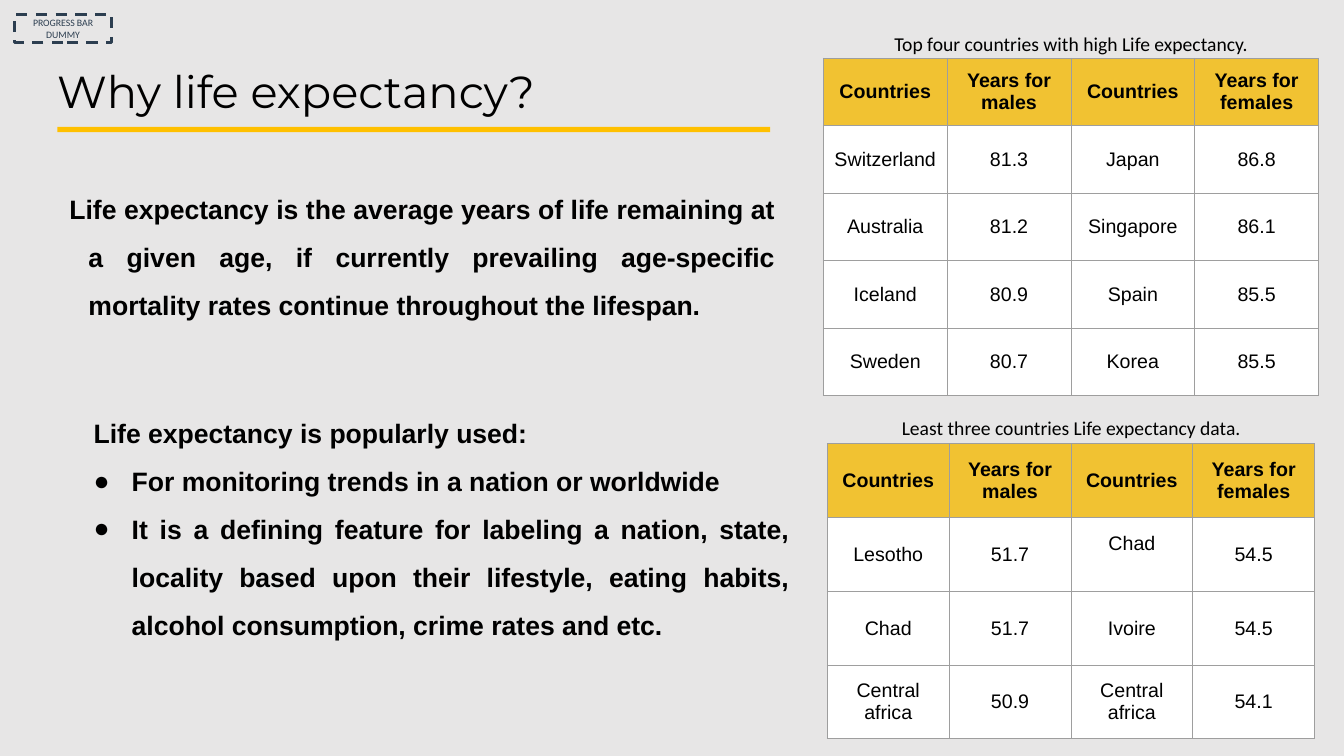
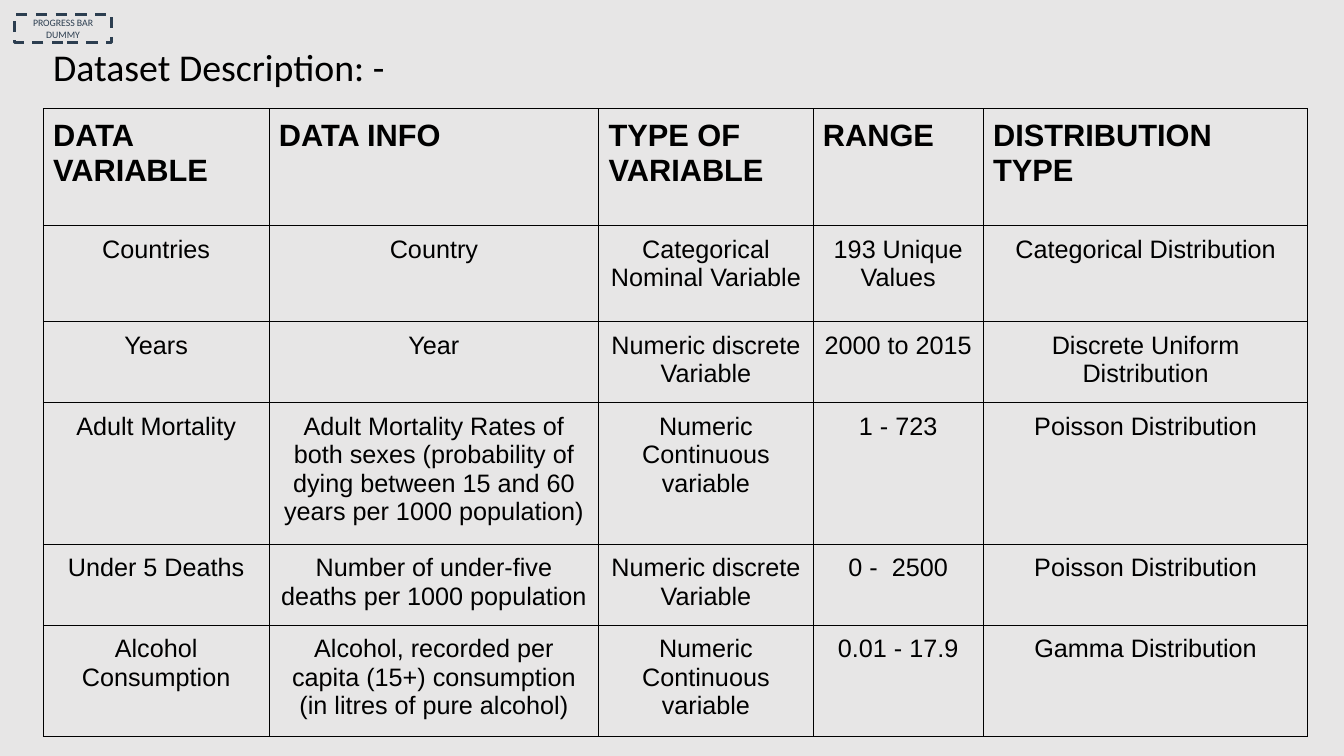
from dataclasses import dataclass

from lxml import etree
from pptx import Presentation
from pptx.dml.color import RGBColor
from pptx.enum import dml, shapes, text
from pptx.oxml import ns
from pptx.util import Cm, Pt


@dataclass(frozen=True)
class Theme:
    page: str = "E7E6E6"
    ink: str = "000000"
    badge: str = "2C3E50"
    rule: str = "FFC000"
    header: str = "F1C232"
    cell: str = "FFFFFF"
    grid: str = "9E9E9E"
    display_font: str = "Montserrat"
    label_font: str = "Calibri"
    text_font: str = "Arial"
    badge_size: int = 7
    small_size: int = 14
    cell_size: int = 18
    body_size: int = 19
    head_size: int = 22
    subtitle_size: int = 27
    title_size: int = 32
    inset: float = 0.25
    thin_inset: float = 0.13


THEME = Theme()
ALIGN = text.PP_ALIGN
ANCHOR = text.MSO_ANCHOR

BADGE = "PROGRESS BAR DUMMY"
WHY_TITLE = "Why life expectancy?"
DEFINITION = [
    ("Life expectancy is the average years of life remaining at a given age, if currently "
     "prevailing age-specific mortality rates continue throughout the lifespan.", False),
]
USES = [
    ("Life expectancy is popularly used:", False),
    ("For monitoring trends in a nation or worldwide", True),
    ("It is a defining feature for labeling a nation, state, locality based upon their "
     "lifestyle, eating habits, alcohol consumption, crime rates and etc.", True),
]
COUNTRY_HEADER = ("Countries", "Years for males", "Countries", "Years for females")
COUNTRY_TABLES = [
    {
        "caption": "Top four countries with high Life expectancy.",
        "caption_top": 0.56, "left": 20.75, "top": 1.47, "column": 3.12, "row": 1.7,
        "rows": [
            ("Switzerland", "81.3", "Japan", "86.8"),
            ("Australia", "81.2", "Singapore", "86.1"),
            ("Iceland", "80.9", "Spain", "85.5"),
            ("Sweden", "80.7", "Korea", "85.5"),
        ],
        "raised": None,
    },
    {
        "caption": "Least three countries Life expectancy data.",
        "caption_top": 10.24, "left": 20.85, "top": 11.18, "column": 3.07, "row": 1.86,
        "rows": [
            ("Lesotho", "51.7", "Chad", "54.5"),
            ("Chad", "51.7", "Ivoire", "54.5"),
            ("Central africa", "50.9", "Central africa", "54.1"),
        ],
        "raised": (1, 2),
    },
]
DATASET_TITLE = "Dataset Description: -"
DATASET_COLUMNS = (5.69, 8.31, 5.4, 4.29, 8.18)
DATASET_HEIGHTS = (2.95, 2.42, 2.04, 3.56, 2.04, 2.8)
DATASET = [
    ("DATA VARIABLE", "DATA INFO", "TYPE OF VARIABLE", "RANGE", "DISTRIBUTION TYPE"),
    ("Countries", "Country", "Categorical Nominal Variable", "193 Unique Values",
     "Categorical Distribution"),
    ("Years", "Year", "Numeric discrete Variable", "2000 to 2015",
     "Discrete Uniform Distribution"),
    ("Adult Mortality",
     "Adult Mortality Rates of both sexes (probability of dying between 15 and 60 years "
     "per 1000 population)",
     "Numeric Continuous variable", "1 - 723", "Poisson Distribution"),
    ("Under 5 Deaths", "Number of under-five deaths per 1000 population",
     "Numeric discrete Variable", "0 -  2500", "Poisson Distribution"),
    ("Alcohol Consumption",
     "Alcohol, recorded per capita (15+) consumption (in litres of pure alcohol)",
     "Numeric Continuous variable", "0.01 - 17.9", "Gamma Distribution"),
]


def rgb(value):
    return RGBColor.from_string(value)


def place(shape, left, top, width, height):
    shape.left, shape.top = Cm(left), Cm(top)
    shape.width, shape.height = Cm(width), Cm(height)


def set_insets(holder, vertical):
    holder.margin_left = holder.margin_right = Cm(THEME.inset)
    holder.margin_top = holder.margin_bottom = Cm(vertical)


def prepare_frame(shape, vertical, anchor=ANCHOR.TOP):
    frame = shape.text_frame
    frame.word_wrap = True
    frame.auto_size = text.MSO_AUTO_SIZE.NONE
    frame.vertical_anchor = anchor
    set_insets(frame, vertical)
    return frame


def write(paragraph, content, size, font, color=THEME.ink, bold=False, align=ALIGN.LEFT):
    paragraph.alignment = align
    run = paragraph.add_run()
    run.text = content
    run.font.size = Pt(size)
    run.font.name = font
    run.font.bold = bold
    run.font.color.rgb = rgb(color)


def set_title(slide, content, box, size, font, vertical):
    place(slide.shapes.title, *box)
    frame = prepare_frame(slide.shapes.title, vertical)
    write(frame.paragraphs[0], content, size, font)


def set_indent(paragraph, bulleted):
    properties = paragraph._p.get_or_add_pPr()
    margin, hanging = (1.27, 0.96) if bulleted else (0.79, 0.48)
    properties.set("marL", str(Cm(margin)))
    properties.set("indent", str(-Cm(hanging)))
    if bulleted:
        color = etree.SubElement(properties, ns.qn("a:buClr"))
        etree.SubElement(color, ns.qn("a:srgbClr"), val=THEME.ink)
        etree.SubElement(properties, ns.qn("a:buFont"), typeface=THEME.text_font)
        etree.SubElement(properties, ns.qn("a:buChar"), char="●")
    else:
        etree.SubElement(properties, ns.qn("a:buNone"))


def set_body(placeholder, items, box):
    place(placeholder, *box)
    frame = prepare_frame(placeholder, THEME.thin_inset)
    for index, (content, bulleted) in enumerate(items):
        paragraph = frame.add_paragraph() if index else frame.paragraphs[0]
        set_indent(paragraph, bulleted)
        paragraph.line_spacing = 1.5
        paragraph.space_before = Pt(0)
        write(paragraph, content, THEME.body_size, THEME.text_font,
              bold=True, align=ALIGN.JUSTIFY)


def add_border(cell, color):
    properties = cell._tc.get_or_add_tcPr()
    for side in ("a:lnL", "a:lnR", "a:lnT", "a:lnB"):
        line = etree.SubElement(properties, ns.qn(side), w=str(Pt(0.75)))
        fill = etree.SubElement(line, ns.qn("a:solidFill"))
        etree.SubElement(fill, ns.qn("a:srgbClr"), val=color)


def add_grid(slide, left, top, widths, heights, rows, border, fills, sizes,
             header_align=ALIGN.CENTER, anchor=ANCHOR.MIDDLE):
    frame = slide.shapes.add_table(len(rows), len(widths), Cm(left), Cm(top),
                                   Cm(sum(widths)), Cm(sum(heights)))
    table = frame.table
    table.horz_banding = False
    for column, width in zip(table.columns, widths):
        column.width = Cm(width)
    for row_index, (row, height, values) in enumerate(zip(table.rows, heights, rows)):
        row.height = Cm(height)
        is_header = row_index == 0
        kind = 0 if is_header else 1
        for cell, value in zip(row.cells, values):
            set_insets(cell, THEME.inset)
            cell.vertical_anchor = anchor
            add_border(cell, border)
            cell.fill.solid()
            cell.fill.fore_color.rgb = rgb(fills[kind])
            write(cell.text_frame.paragraphs[0], value, sizes[kind], THEME.text_font,
                  bold=is_header, align=header_align if is_header else ALIGN.CENTER)
    return table


def add_rectangle(slide, box):
    shape = slide.shapes.add_shape(shapes.MSO_SHAPE.RECTANGLE, 0, 0, 0, 0)
    place(shape, *box)
    shape.shadow.inherit = False
    return shape


def style_master(presentation, slide):
    master = presentation.slide_master
    master.background.fill.solid()
    master.background.fill.fore_color.rgb = rgb(THEME.page)
    badge = add_rectangle(slide, (0.36, 0.36, 2.46, 0.71))
    badge.fill.background()
    badge.line.color.rgb = rgb(THEME.badge)
    badge.line.width = Pt(2)
    badge.line.dash_style = dml.MSO_LINE.DASH
    frame = prepare_frame(badge, THEME.thin_inset, ANCHOR.MIDDLE)
    write(frame.paragraphs[0], BADGE, THEME.badge_size, THEME.label_font,
          THEME.badge, align=ALIGN.CENTER)
    master.shapes.element.append(badge.element)


def add_country_table(slide, group):
    caption = slide.shapes.add_textbox(Cm(20.75), Cm(group["caption_top"]), Cm(12.5), Cm(1.12))
    frame = prepare_frame(caption, THEME.inset)
    write(frame.paragraphs[0], group["caption"], THEME.small_size, THEME.label_font,
          align=ALIGN.CENTER)
    rows = [COUNTRY_HEADER] + group["rows"]
    table = add_grid(slide, group["left"], group["top"],
                     [group["column"]] * len(COUNTRY_HEADER), [group["row"]] * len(rows),
                     rows, THEME.grid, (THEME.header, THEME.cell),
                     (THEME.small_size, THEME.small_size))
    if group["raised"]:
        table.cell(*group["raised"]).margin_bottom = Cm(0.8)


def build_why(slide):
    set_title(slide, WHY_TITLE, (1.19, 1.47, 19.56, 1.63), THEME.title_size,
              THEME.display_font, THEME.thin_inset)
    set_body(slide.placeholders[1], DEFINITION, (1.19, 4.34, 18.59, 3.51))
    rule = add_rectangle(slide, (1.45, 3.2, 17.96, 0.13))
    rule.fill.solid()
    rule.fill.fore_color.rgb = rgb(THEME.rule)
    rule.line.fill.background()
    set_body(slide.placeholders[2], USES, (1.8, 9.98, 18.34, 5.94))
    for group in COUNTRY_TABLES:
        add_country_table(slide, group)


def build_dataset(slide):
    set_title(slide, DATASET_TITLE, (1.09, 0.84, 21.56, 1.68), THEME.subtitle_size,
              THEME.label_font, THEME.inset)
    add_grid(slide, 1.09, 2.74, DATASET_COLUMNS, DATASET_HEIGHTS, DATASET, THEME.ink,
             (THEME.page, THEME.page), (THEME.head_size, THEME.cell_size),
             ALIGN.LEFT, ANCHOR.TOP)


def main():
    presentation = Presentation()
    presentation.slide_width, presentation.slide_height = Cm(33.87), Cm(19.05)
    two_content, title_only = presentation.slide_layouts[3], presentation.slide_layouts[5]
    why = presentation.slides.add_slide(two_content)
    style_master(presentation, why)
    build_why(why)
    build_dataset(presentation.slides.add_slide(title_only))
    presentation.save("out.pptx")


if __name__ == "__main__":
    main()
